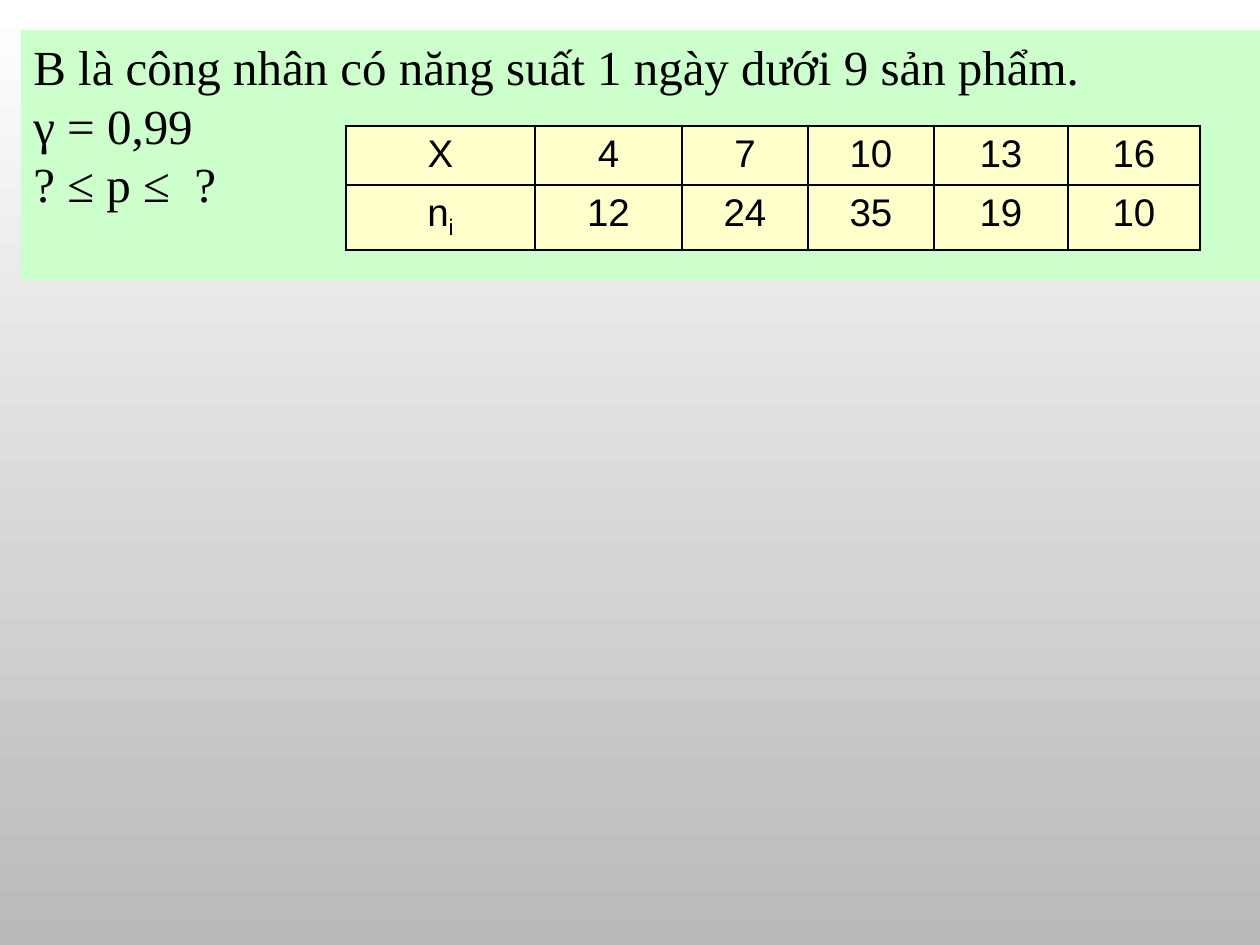
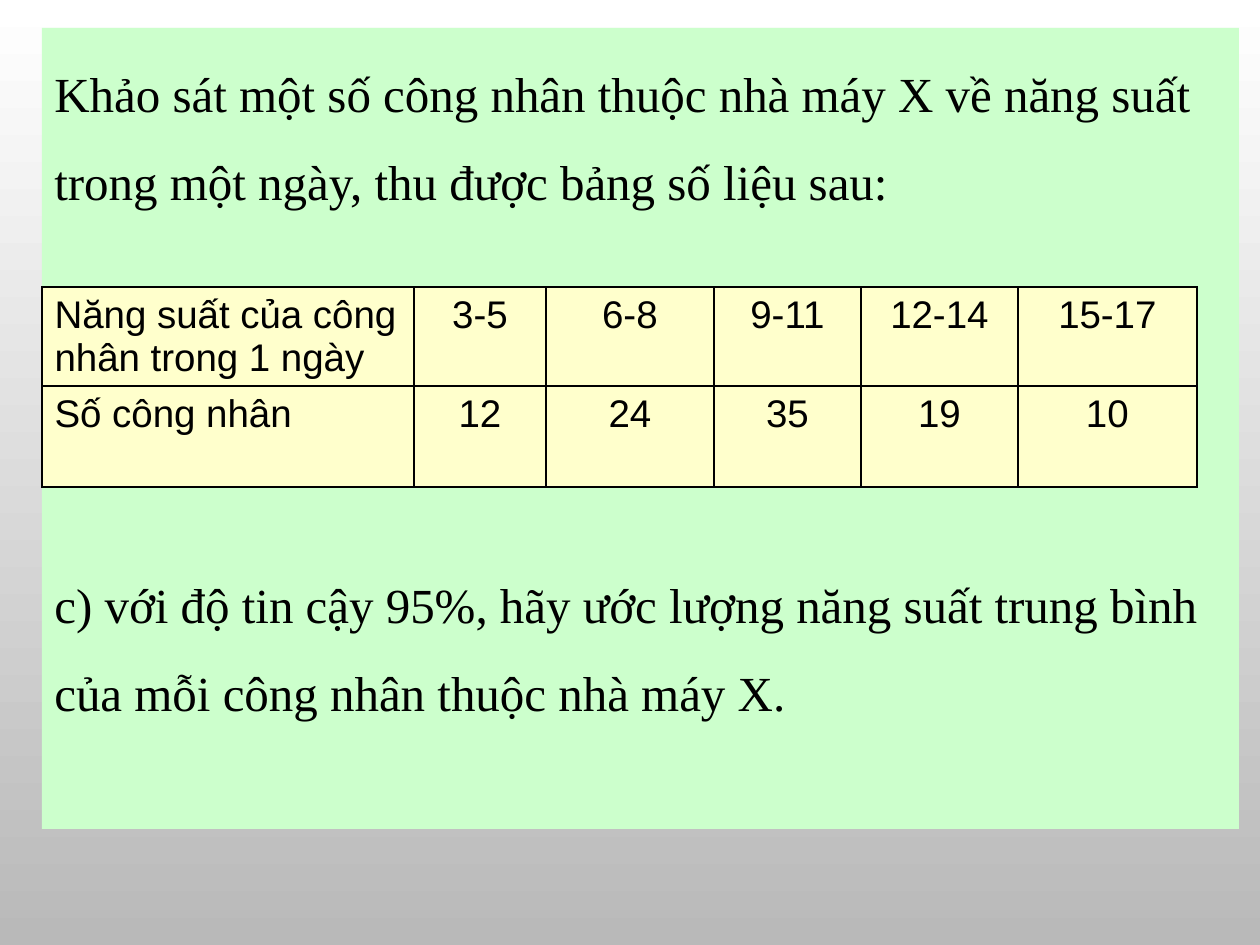
from lxml import etree
from pptx import Presentation
from pptx import util as u
from pptx.dml.color import RGBColor
from pptx.enum import shapes, text
from pptx.oxml import ns

BLACK, PANEL, CELL = "000000", "CCFFCC", "FFFFCC"
BACKDROP = ("FFFFFF", "B9B9B9")
PROSE = {"name": "Times New Roman", "size": u.Pt(28)}
DATA = {"name": "Arial", "size": u.Pt(22)}
COUNTS = ["12", "24", "35", "19", "10"]


def px(count):
    """Turn px into EMU at 126 px to the inch."""
    return u.Inches(count / 126)


def color(value):
    """Turn a hex string into a colour."""
    return RGBColor.from_string(value)


def apply(target, values):
    """Set each named attribute of the target."""
    for name, value in values.items():
        setattr(target, name, value)


def paint_backdrop(master):
    """Give every slide the vertical grey gradient."""
    fill = master.background.fill
    fill.gradient()
    fill.gradient_angle = 270
    for stop, value in zip(fill.gradient_stops, BACKDROP):
        stop.color.rgb = color(value)


def add_span(para, words, font):
    """Add a black run in the given font."""
    span = para.add_run()
    span.text = words
    apply(span.font, font)
    span.font.color.rgb = color(BLACK)
    return span


def add_panel(page, box, lines, formats):
    """Draw the green panel with one paragraph per line."""
    panel = page.shapes.add_shape(
        shapes.MSO_SHAPE.RECTANGLE, *(px(side) for side in box))
    panel.shadow.inherit = False
    panel.fill.solid()
    panel.fill.fore_color.rgb = color(PANEL)
    panel.line.fill.background()
    frame = panel.text_frame
    apply(frame, {"word_wrap": True, "vertical_anchor": text.MSO_ANCHOR.TOP})
    for index, (line, values) in enumerate(zip(lines, formats)):
        para = frame.add_paragraph() if index else frame.paragraphs[0]
        apply(para, {"alignment": text.PP_ALIGN.LEFT, **values})
        add_span(para, line, PROSE)


def style_cell(cell):
    """Give a cell thin black borders and a cream fill."""
    props = cell._tc.get_or_add_tcPr()
    for side in ("lnL", "lnR", "lnT", "lnB"):
        border = etree.SubElement(props, ns.qn(f"a:{side}"), w=str(u.Pt(1)))
        fill = etree.SubElement(border, ns.qn("a:solidFill"))
        etree.SubElement(fill, ns.qn("a:srgbClr"), val=BLACK)
    cell.fill.solid()
    cell.fill.fore_color.rgb = color(CELL)


def add_data_table(page, corner, widths, heights, rows, label_align):
    """Draw a table whose first column holds the row labels."""
    box = (*corner, sum(widths), sum(heights))
    table = page.shapes.add_table(
        len(rows), len(widths), *(px(side) for side in box)).table
    apply(table, {"first_row": False, "horz_banding": False})
    for column, width in zip(table.columns, widths):
        column.width = px(width)
    for row, height, values in zip(table.rows, heights, rows):
        row.height = px(height)
        for index, (cell, value) in enumerate(zip(row.cells, values)):
            style_cell(cell)
            para = cell.text_frame.paragraphs[0]
            para.alignment = text.PP_ALIGN.CENTER if index else label_align
            add_span(para, value, DATA)
    return table


def build_proportion(page):
    """Build the slide on estimating a proportion."""
    left, top = 21, 30
    lines = ["B là công nhân có năng suất 1 ngày dưới 9 sản phẩm.",
             "γ = 0,99", "? ≤ p ≤  ?"]
    add_panel(page, (left, top, 1239, 250), lines, [{}] * len(lines))
    rows = [["X", "4", "7", "10", "13", "16"], ["n", *COUNTS]]
    table = add_data_table(
        page, (left + 325, top + 96), [189, 147, 126, 126, 134, 132],
        [59, 65], rows, text.PP_ALIGN.CENTER)
    para = table.cell(1, 0).text_frame.paragraphs[0]
    subscript = add_span(para, "i", DATA)
    subscript._r.get_or_add_rPr().set("baseline", "-25000")


def build_survey(page):
    """Build the slide with the productivity survey."""
    left, top = 42, 28
    lines = ["Khảo sát một số công nhân thuộc nhà máy X về năng suất "
             "trong một ngày, thu được bảng số liệu sau:",
             "c) với độ tin cậy 95%, hãy ước lượng năng suất trung bình "
             "của mỗi công nhân thuộc nhà máy X."]
    formats = [{"line_spacing": 1.5},
               {"line_spacing": 1.5, "space_before": u.Pt(191)}]
    add_panel(page, (left, top, 1197, 801), lines, formats)
    rows = [["Năng suất của công nhân trong 1 ngày",
             "3-5", "6-8", "9-11", "12-14", "15-17"],
            ["Số công nhân", *COUNTS]]
    add_data_table(page, (left, top + 259), [372, 132, 168, 147, 157, 179],
                   [99, 101], rows, text.PP_ALIGN.LEFT)


def main():
    """Build and save the deck."""
    deck = Presentation()
    apply(deck, {"slide_width": px(1260), "slide_height": px(945)})
    paint_backdrop(deck.slide_master)
    blank = deck.slide_layouts.get_by_name("Blank")
    for build in (build_proportion, build_survey):
        build(deck.slides.add_slide(blank))
    deck.save("out.pptx")


if __name__ == "__main__":
    main()
